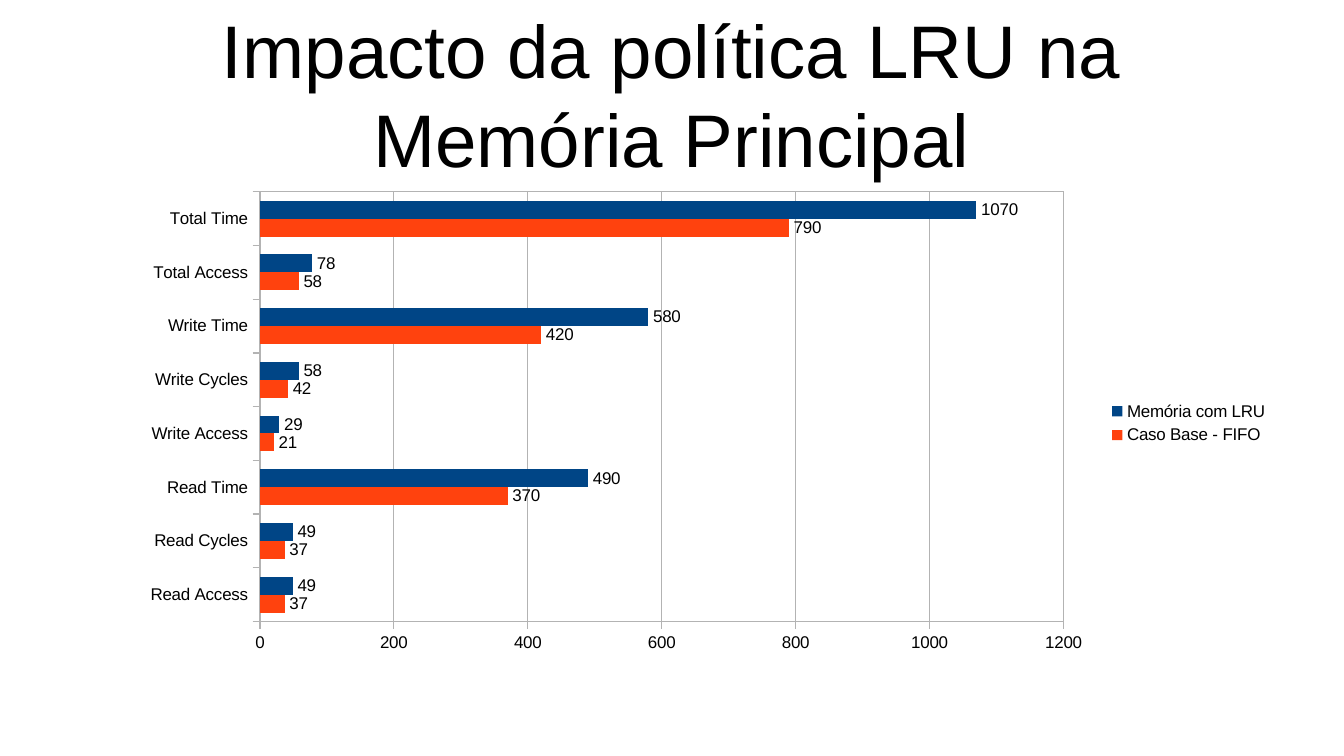
import dataclasses
import typing

import pptx
import pptx.chart.data
import pptx.dml.color
import pptx.enum.chart
import pptx.enum.text
import pptx.oxml
import pptx.oxml.ns
import pptx.util

PX = 914400 / 122  # EMU in one px


@dataclasses.dataclass(frozen=True)
class Theme:
    font: str = "Arial"
    ink: str = "000000"
    grid: str = "B3B3B3"
    blue: str = "004586"
    orange: str = "FF420E"
    title: int = 44
    small: int = 10


@dataclasses.dataclass(frozen=True)
class Box:
    left: int
    top: int
    width: int
    height: int

    def emu(self) -> list[int]:
        return [round(n * PX) for n in dataclasses.astuple(self)]


@dataclasses.dataclass(frozen=True)
class Series:
    name: str
    color: str
    values: tuple[int, ...]


THEME = Theme()
TITLE = Box(67, 10, 1210, 167)
CHART = Box(128, 183, 1153, 481)
PLOT = Box(260, 192, 804, 430)
NAMES = ("Read Access", "Read Cycles", "Read Time", "Write Access",
         "Write Cycles", "Write Time", "Total Access", "Total Time")
SERIES = (
    Series("Caso Base - FIFO", THEME.orange, (37, 37, 370, 21, 42, 420, 58, 790)),
    Series("Memória com LRU", THEME.blue, (49, 49, 490, 29, 58, 580, 78, 1070)),
)


def apply(item: typing.Any, form: dict[str, typing.Any]) -> None:
    for key, value in form.items():
        setattr(item, key, value)


def rgb(color: str) -> pptx.dml.color.RGBColor:
    return pptx.dml.color.RGBColor.from_string(color)


def style(font: typing.Any, size: int) -> None:
    apply(font, {"name": THEME.font, "size": pptx.util.Pt(size), "bold": False})
    font.color.rgb = rgb(THEME.ink)


def rule(line: typing.Any) -> None:
    line.color.rgb = rgb(THEME.grid)
    line.width = 0


def add_title(slide: typing.Any, text: str) -> None:
    frame = slide.shapes.add_textbox(*TITLE.emu()).text_frame
    apply(frame, {
        "word_wrap": True,
        "vertical_anchor": pptx.enum.text.MSO_ANCHOR.MIDDLE,
        "margin_left": 0, "margin_right": 0, "margin_top": 0, "margin_bottom": 0,
    })
    para = frame.paragraphs[0]
    apply(para, {"text": text, "alignment": pptx.enum.text.PP_ALIGN.CENTER})
    style(para.runs[0].font, THEME.title)


def place_plot(chart: typing.Any) -> None:
    """Fix the inner plot area and give it a thin border."""
    area = chart.element.find(".//" + pptx.oxml.ns.qn("c:plotArea"))
    for old in area.findall(pptx.oxml.ns.qn("c:layout")):
        area.remove(old)
    parts = {
        "x": (PLOT.left - CHART.left) / CHART.width,
        "y": (PLOT.top - CHART.top) / CHART.height,
        "w": PLOT.width / CHART.width,
        "h": PLOT.height / CHART.height,
    }
    modes = "".join(f'<c:{key}Mode val="edge"/>' for key in "xy")
    sizes = "".join(f'<c:{key} val="{part:.4f}"/>' for key, part in parts.items())
    space = pptx.oxml.ns.nsdecls("c", "a")
    area.insert(0, pptx.oxml.parse_xml(
        f'<c:layout {space}><c:manualLayout><c:layoutTarget val="inner"/>'
        f"{modes}{sizes}</c:manualLayout></c:layout>"))
    area.append(pptx.oxml.parse_xml(
        f'<c:spPr {space}><a:noFill/><a:ln w="0"><a:solidFill>'
        f'<a:srgbClr val="{THEME.grid}"/></a:solidFill></a:ln></c:spPr>'))


def add_bars(slide: typing.Any) -> None:
    enum = pptx.enum.chart
    data = pptx.chart.data.CategoryChartData()
    data.categories = NAMES
    for row in SERIES:
        data.add_series(row.name, row.values)
    chart = slide.shapes.add_chart(
        enum.XL_CHART_TYPE.BAR_CLUSTERED, *CHART.emu(), data).chart
    apply(chart, {"has_title": False, "has_legend": True})
    style(chart.font, THEME.small)

    # Legend
    apply(chart.legend, {"position": enum.XL_LEGEND_POSITION.RIGHT,
                         "include_in_layout": False})
    style(chart.legend.font, THEME.small)

    # Axes
    for axis in (chart.category_axis, chart.value_axis):
        apply(axis, {"major_tick_mark": enum.XL_TICK_MARK.OUTSIDE,
                     "minor_tick_mark": enum.XL_TICK_MARK.NONE})
        style(axis.tick_labels.font, THEME.small)
        rule(axis.format.line)
    apply(chart.value_axis, {"minimum_scale": 0, "maximum_scale": 1200,
                             "major_unit": 200, "has_major_gridlines": True})
    rule(chart.value_axis.major_gridlines.format.line)

    # Bars and their values
    plot = chart.plots[0]
    apply(plot, {"gap_width": 100, "overlap": 0, "vary_by_categories": False})
    for bars, row in zip(plot.series, SERIES):
        bars.format.fill.solid()
        bars.format.fill.fore_color.rgb = rgb(row.color)
        apply(bars.data_labels, {"show_value": True,
                                 "position": enum.XL_LABEL_POSITION.OUTSIDE_END})
        style(bars.data_labels.font, THEME.small)
    place_plot(chart)


def main() -> None:
    deck = pptx.Presentation()
    apply(deck, {"slide_width": pptx.util.Inches(11.02),
                 "slide_height": pptx.util.Inches(6.2)})
    slide = deck.slides.add_slide(deck.slide_layouts[6])
    add_title(slide, "Impacto da política LRU na Memória Principal")
    add_bars(slide)
    deck.save("out.pptx")


if __name__ == "__main__":
    main()
